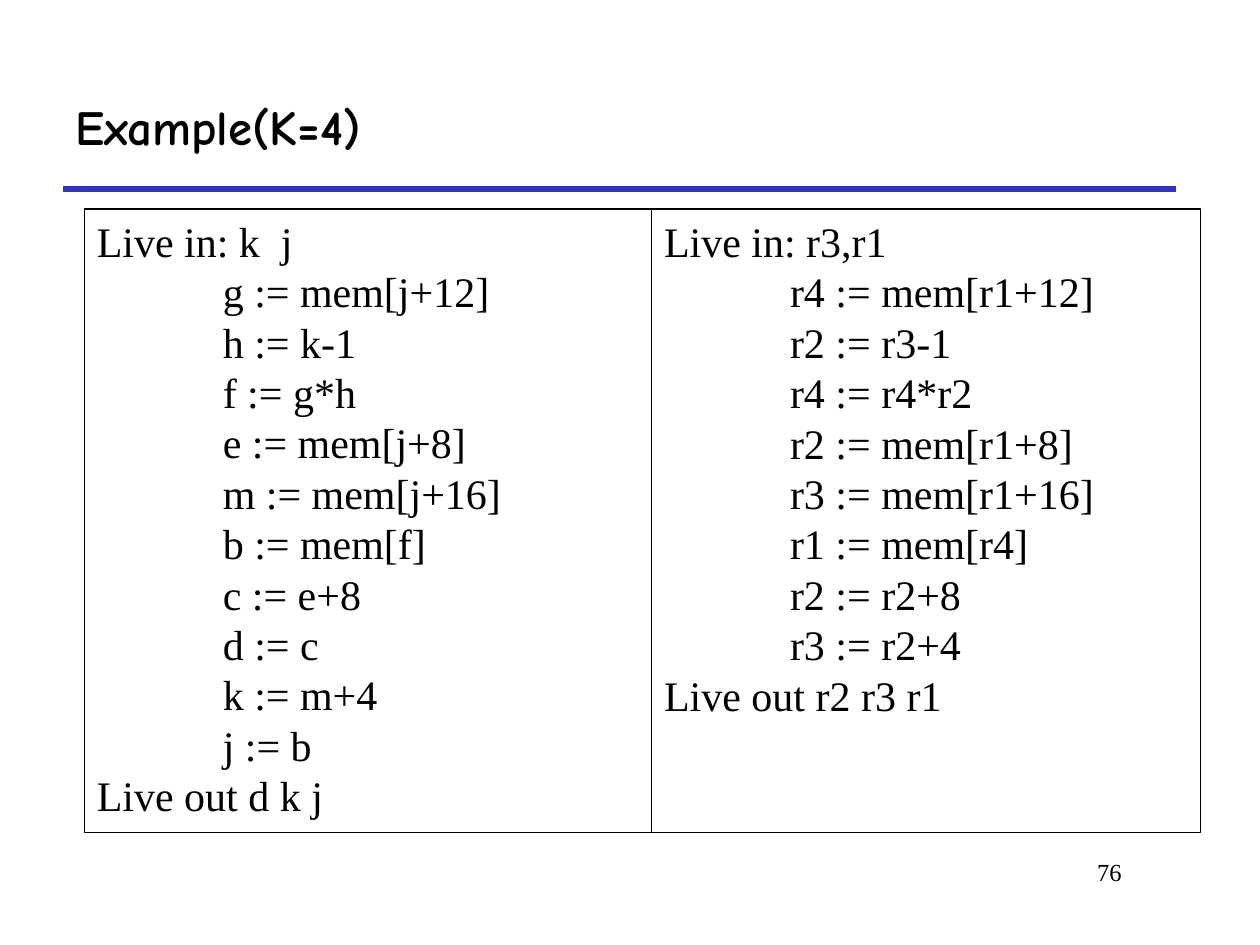
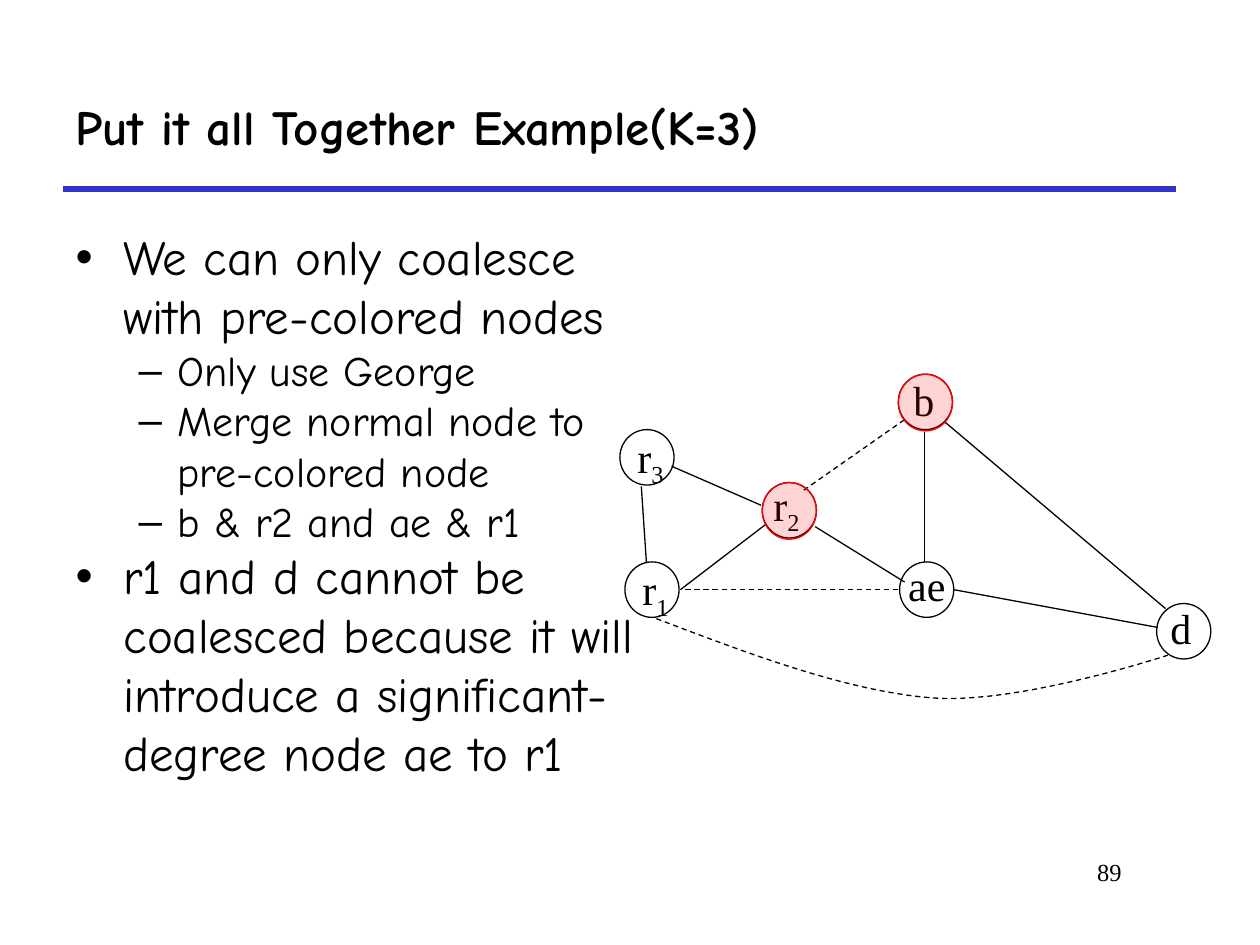
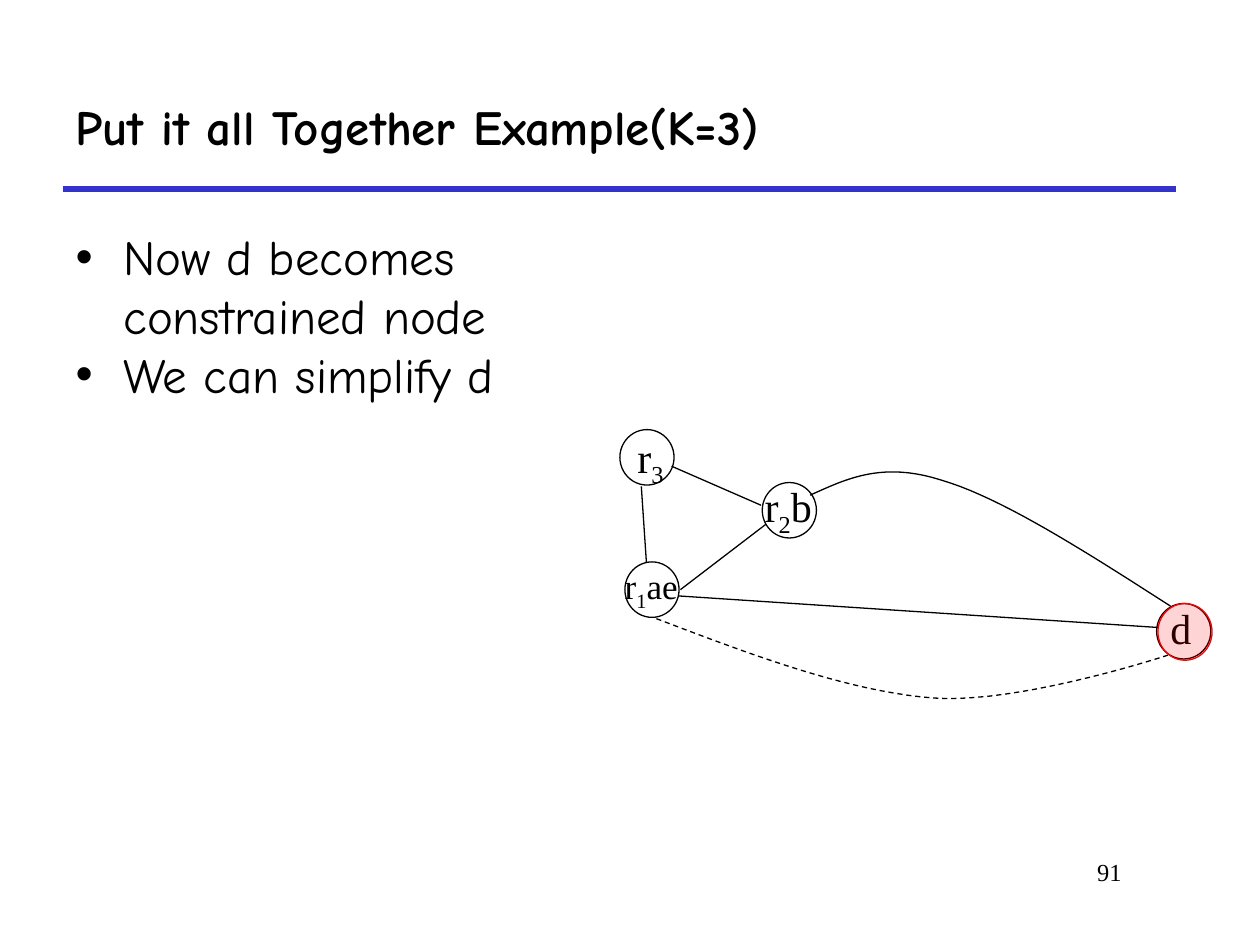
"""Build three slides on register allocation by graph colouring."""

from dataclasses import dataclass
from typing import NamedTuple

from lxml.etree import SubElement
from pptx import Presentation
from pptx.dml.color import RGBColor
from pptx.enum.dml import MSO_LINE_DASH_STYLE as Dash
from pptx.enum.shapes import MSO_CONNECTOR as Connector, MSO_SHAPE as Preset
from pptx.enum.text import MSO_ANCHOR as Anchor, MSO_AUTO_SIZE as AutoSize, PP_ALIGN as Align
from pptx.oxml.ns import qn
from pptx.util import Inches, Pt

BLACK = RGBColor(0x00, 0x00, 0x00)
RULE_BLUE = RGBColor(0x33, 0x33, 0xCC)
HIGHLIGHT_RED = RGBColor(0xFF, 0x00, 0x00)
HEADING_FONT = "Comic Neue"
CODE_FONT = "Times New Roman"
LINE_FACTOR = 1.2
THIN = 0.75
NODE_WIDTH, NODE_HEIGHT = 0.43, 0.44
HIGHLIGHT_HEIGHT = 0.45
SUBSCRIPT_DROP = 0.05
CURVE_STEPS = 20

Point = tuple[float, float]


class Box(NamedTuple):
    left: float
    top: float
    width: float
    height: float


class Edge(NamedTuple):
    start: Point
    end: Point
    dashed: bool = False


class Curve(NamedTuple):
    points: list[Point]
    dashed: bool = False


class Bullet(NamedTuple):
    text: str
    level: int = 0


class BulletStyle(NamedTuple):
    character: str
    size: int
    margin: float
    hanging: float


@dataclass(frozen=True)
class Node:
    name: str
    left: float
    top: float
    label: Box
    subscript: str = ""
    suffix: str = ""
    size: int = 24


@dataclass(frozen=True)
class Graph:
    nodes: list[Node]
    edges: list[Edge]
    curves: list[Curve]
    highlights: list[Point]


TITLE_BOX = Box(0.5, 0.5, 8.83, 1)
BODY_BOX = Box(0.5, 1.75, 4.77, 5.08)
NUMBER_BOX = Box(6.92, 6.75, 2.08, 0.5)
SOURCE_BOX = Box(0.67, 1.66, 4.5, 4.95)
ALLOCATED_BOX = Box(5.17, 1.66, 4.36, 4.95)
HEADER_RULE = Edge((0.5, 1.5), (9.33, 1.5))
BULLET_STYLES = [BulletStyle("•", 28, 0.38, 0.38), BulletStyle("–", 24, 0.81, 0.31)]

SOURCE_CODE = [
    "Live in: k  j",
    "\tg := mem[j+12]",
    "\th := k-1",
    "\tf := g*h",
    "\te := mem[j+8]",
    "\tm := mem[j+16]",
    "\tb := mem[f]",
    "\tc := e+8",
    "\td := c",
    "\tk := m+4",
    "\tj := b",
    "Live out d k j",
]
ALLOCATED_CODE = [
    "Live in: r3,r1",
    "\tr4 := mem[r1+12]",
    "\tr2 := r3-1",
    "\tr4 := r4*r2",
    "\tr2 := mem[r1+8]",
    "\tr3 := mem[r1+16]",
    "\tr1 := mem[r4]",
    "\tr2 := r2+8",
    "\tr3 := r2+4",
    "Live out r2 r3 r1",
]

NODE_R3 = Node("r", 4.92, 3.41, Box(4.96, 3.38, 0.44, 0.5), "3")
NODE_D = Node("d", 9.18, 4.79, Box(9.19, 4.73, 0.38, 0.5))
REGISTER_EDGES = [
    Edge((5.33, 3.7), (6.04, 4.01)),
    Edge((5.09, 3.86), (5.13, 4.46)),
    Edge((5.4, 4.68), (6.08, 4.16)),
]
R1_TO_D = Curve(
    [(5.21, 4.91), (5.97, 5.2), (6.74, 5.49), (7.41, 5.54), (8.09, 5.59), (9.27, 5.2), (9.27, 5.2)],
    dashed=True,
)
COALESCE_GRAPH = Graph(
    nodes=[
        NODE_R3,
        Node("r", 4.96, 4.46, Box(5, 4.43, 0.44, 0.5), "1"),
        Node("ae", 7.14, 4.46, Box(7.11, 4.39, 0.5, 0.5)),
        Node("r", 6.05, 3.83, Box(6.04, 3.76, 0.44, 0.5), "2"),
        NODE_D,
        Node("b", 7.13, 2.97, Box(7.15, 2.92, 0.38, 0.5)),
    ],
    edges=REGISTER_EDGES + [
        Edge((7.34, 3.43), (7.34, 4.46)),
        Edge((7.57, 4.68), (9.19, 4.98)),
        Edge((7.5, 3.35), (9.25, 4.83)),
        Edge((6.47, 4.18), (7.18, 4.62)),
        Edge((6.38, 3.89), (7.18, 3.33), dashed=True),
        Edge((5.44, 4.68), (7.14, 4.68), dashed=True),
    ],
    curves=[R1_TO_D],
    highlights=[(7.13, 2.97), (6.05, 3.83)],
)
SIMPLIFY_GRAPH = Graph(
    nodes=[
        NODE_R3,
        Node("r", 4.96, 4.46, Box(4.86, 4.43, 0.64, 0.44), "1", "ae", 20),
        Node("r", 6.05, 3.83, Box(5.97, 3.77, 0.6, 0.5), "2", "b"),
        NODE_D,
    ],
    edges=REGISTER_EDGES + [Edge((5.39, 4.73), (9.19, 4.98))],
    curves=[
        R1_TO_D,
        Curve([(6.43, 3.93), (6.72, 3.8), (7, 3.66), (7.47, 3.81), (7.95, 3.95), (8.62, 4.38), (9.29, 4.81)]),
    ],
    highlights=[(9.19, 4.79)],
)
COALESCE_BULLETS = [
    Bullet("We can only coalesce with pre-colored nodes"),
    Bullet("Only use George", 1),
    Bullet("Merge normal node to pre-colored node", 1),
    Bullet("b & r2 and ae & r1", 1),
    Bullet("r1 and d cannot be coalesced because it will introduce a significant-degree node ae to r1"),
]
SIMPLIFY_BULLETS = [Bullet("Now d becomes constrained node"), Bullet("We can simplify d")]


def place(shape, box: Box) -> None:
    shape.left, shape.top, shape.width, shape.height = map(Inches, box)


def add_run(paragraph, text: str, size: int, font: str, bold: bool = False):
    run = paragraph.add_run()
    run.text = text
    run.font.size = Pt(size)
    run.font.name = font
    run.font.bold = bold
    run.font.color.rgb = BLACK
    return run


def set_spacing(paragraph, size: int) -> None:
    paragraph.line_spacing = Pt(LINE_FACTOR * size)
    paragraph.space_before = Pt(0)


def next_paragraph(frame, index: int):
    return frame.add_paragraph() if index else frame.paragraphs[0]


def set_indent(paragraph, margin: float, hanging: float):
    properties = paragraph._p.get_or_add_pPr()
    properties.set("marL", str(Inches(margin)))
    properties.set("indent", str(-Inches(hanging)))
    return properties


def style_line(line, color: RGBColor = BLACK, width: float = THIN, dashed: bool = False) -> None:
    line.color.rgb = color
    line.width = Pt(width)
    if dashed:
        line.dash_style = Dash.DASH


def add_edge(slide, edge: Edge, color: RGBColor = BLACK, width: float = THIN) -> None:
    ends = [Inches(value) for value in (*edge.start, *edge.end)]
    connector = slide.shapes.add_connector(Connector.STRAIGHT, *ends)
    style_line(connector.line, color, width, edge.dashed)
    SubElement(connector._element.spPr, qn("a:effectLst"))


def bezier_point(controls: list[Point], position: float) -> Point:
    rest = 1 - position
    weights = (rest**3, 3 * rest**2 * position, 3 * rest * position**2, position**3)
    x, y = (sum(w * value for w, value in zip(weights, axis)) for axis in zip(*controls))
    return x, y


def add_curve(slide, curve: Curve) -> None:
    start_x, start_y = map(Inches, curve.points[0])
    builder = slide.shapes.build_freeform(start_x, start_y)
    for first in range(0, len(curve.points) - 1, 3):
        controls = curve.points[first:first + 4]
        samples = [bezier_point(controls, step / CURVE_STEPS) for step in range(1, CURVE_STEPS + 1)]
        builder.add_line_segments([(Inches(x), Inches(y)) for x, y in samples], close=False)
    shape = builder.convert_to_shape()
    shape.shadow.inherit = False
    shape.fill.background()
    style_line(shape.line, dashed=curve.dashed)


def add_circle(slide, box: Box, color: RGBColor):
    circle = slide.shapes.add_shape(Preset.OVAL, *map(Inches, box))
    circle.shadow.inherit = False
    circle.fill.background()
    style_line(circle.line, color)
    return circle


def add_node(slide, node: Node) -> None:
    add_circle(slide, Box(node.left, node.top, NODE_WIDTH, NODE_HEIGHT), BLACK)
    drop = SUBSCRIPT_DROP if node.subscript else 0
    label_box = node.label._replace(top=node.label.top + drop)
    label = slide.shapes.add_textbox(*map(Inches, label_box))
    frame = label.text_frame
    frame.word_wrap = False
    frame.auto_size = AutoSize.SHAPE_TO_FIT_TEXT
    paragraph = frame.paragraphs[0]
    set_spacing(paragraph, node.size)
    add_run(paragraph, node.name, node.size, CODE_FONT)
    if node.subscript:
        run = add_run(paragraph, node.subscript, node.size, CODE_FONT)
        run._r.get_or_add_rPr().set("baseline", "-25000")
    if node.suffix:
        add_run(paragraph, node.suffix, node.size, CODE_FONT)


def add_highlight(slide, corner: Point) -> None:
    circle = add_circle(slide, Box(*corner, NODE_WIDTH, HIGHLIGHT_HEIGHT), HIGHLIGHT_RED)
    circle.fill.solid()
    circle.fill.fore_color.rgb = HIGHLIGHT_RED
    color = circle._element.spPr.find(qn("a:solidFill")).find(qn("a:srgbClr"))
    SubElement(color, qn("a:alpha"), val="17000")


def add_graph(slide, graph: Graph) -> None:
    for node in graph.nodes:
        add_node(slide, node)
    for edge in graph.edges:
        add_edge(slide, edge)
    for curve in graph.curves:
        add_curve(slide, curve)
    for corner in graph.highlights:
        add_highlight(slide, corner)


def fill_code(shape, lines: list[str]) -> None:
    style_line(shape.line)
    frame = shape.text_frame
    frame.word_wrap = True
    frame.auto_size = AutoSize.NONE
    for index, text in enumerate(lines):
        paragraph = next_paragraph(frame, index)
        set_spacing(paragraph, 24)
        properties = set_indent(paragraph, 0, 0)
        properties.set("defTabSz", str(Inches(1)))
        SubElement(properties, qn("a:buNone"))
        add_run(paragraph, text, 24, CODE_FONT)


def fill_bullets(body, bullets: list[Bullet]) -> None:
    place(body, BODY_BOX)
    frame = body.text_frame
    frame.auto_size = AutoSize.NONE
    for index, bullet in enumerate(bullets):
        style = BULLET_STYLES[bullet.level]
        paragraph = next_paragraph(frame, index)
        paragraph.level = bullet.level
        set_spacing(paragraph, style.size)
        properties = set_indent(paragraph, style.margin, style.hanging)
        SubElement(properties, qn("a:buChar"), char=style.character)
        add_run(paragraph, bullet.text, style.size, HEADING_FONT)


def add_framed_slide(presentation, title: str, number: int):
    slide = presentation.slides.add_slide(presentation.slide_layouts[1])
    add_edge(slide, HEADER_RULE, RULE_BLUE, 3)
    place(slide.shapes.title, TITLE_BOX)
    frame = slide.shapes.title.text_frame
    frame.auto_size = AutoSize.NONE
    frame.vertical_anchor = Anchor.MIDDLE
    heading = frame.paragraphs[0]
    heading.alignment = Align.LEFT
    set_spacing(heading, 28)
    add_run(heading, title, 28, HEADING_FONT, bold=True)
    number_box = slide.shapes.add_textbox(*map(Inches, NUMBER_BOX))
    number_box.text_frame.word_wrap = True
    paragraph = number_box.text_frame.paragraphs[0]
    paragraph.alignment = Align.RIGHT
    set_spacing(paragraph, 14)
    add_run(paragraph, str(number), 14, CODE_FONT)
    return slide


def add_code_slide(presentation) -> None:
    slide = add_framed_slide(presentation, "Example(K=4)", 76)
    allocated = slide.placeholders[1]
    place(allocated, ALLOCATED_BOX)
    fill_code(allocated, ALLOCATED_CODE)
    fill_code(slide.shapes.add_textbox(*map(Inches, SOURCE_BOX)), SOURCE_CODE)


def add_graph_slide(presentation, number: int, bullets: list[Bullet], graph: Graph) -> None:
    slide = add_framed_slide(presentation, "Put it all Together Example(K=3)", number)
    fill_bullets(slide.placeholders[1], bullets)
    add_graph(slide, graph)


def main() -> None:
    presentation = Presentation()
    presentation.slide_width, presentation.slide_height = Inches(10), Inches(7.5)
    add_code_slide(presentation)
    add_graph_slide(presentation, 89, COALESCE_BULLETS, COALESCE_GRAPH)
    add_graph_slide(presentation, 91, SIMPLIFY_BULLETS, SIMPLIFY_GRAPH)
    presentation.save("out.pptx")


if __name__ == "__main__":
    main()
